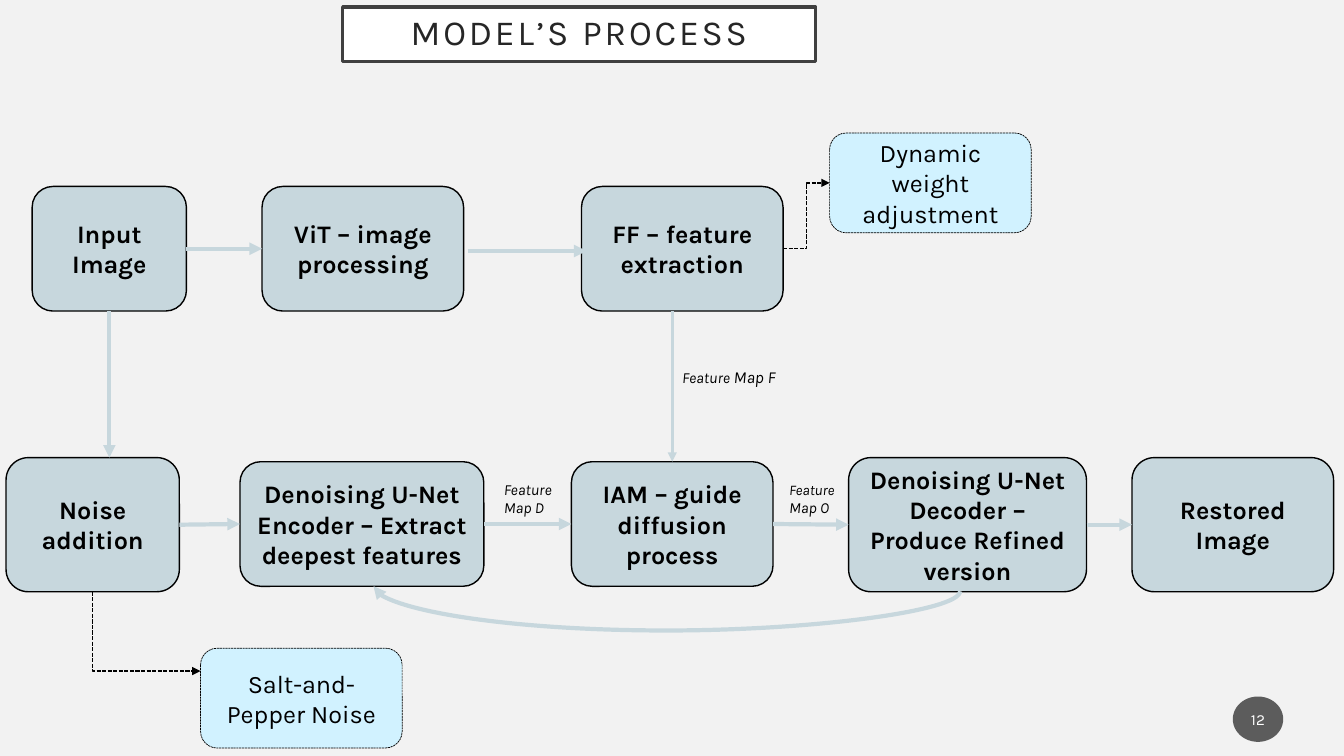
import pptx
import pptx.util
import pptx.dml.color
import pptx.enum.dml
import pptx.enum.shapes
import pptx.enum.text
import pptx.oxml
import pptx.oxml.ns

Pt = pptx.util.Pt
SHAPE = pptx.enum.shapes.MSO_SHAPE
CONNECTOR = pptx.enum.shapes.MSO_CONNECTOR
ALIGN = pptx.enum.text.PP_ALIGN
ANCHOR = pptx.enum.text.MSO_ANCHOR
FONT = "Karla"
STEEL, ICE, BLACK, WHITE = "C7D7DD", "D1F2FF", "000000", "FFFFFF"
TOP_Y, TOP_H = 133.2, 89
LOW_Y, LOW_H = 326.9, 95.8
CORE_Y, BOX_W = 329.8, 144
NOTE_H = 71.3


def rgb(value):
    return pptx.dml.color.RGBColor.from_string(value)


def add_xml(parent, tag, **attrs):
    element = pptx.oxml.parse_xml(f"<a:{tag} {pptx.oxml.ns.nsdecls('a')}/>")
    for name, value in attrs.items():
        element.set(name, value)
    parent.append(element)
    return element


def set_line(line, color, width, dashed=False):
    line.color.rgb = rgb(color)
    line.width = Pt(width)
    if dashed:
        line.dash_style = pptx.enum.dml.MSO_LINE.SQUARE_DOT


def add_run(p, text, size, color=BLACK, bold=False, italic=False):
    r = p.add_run()
    r.text = text
    r.font.name = FONT
    r.font.size = Pt(size)
    r.font.bold = bold
    r.font.italic = italic
    r.font.color.rgb = rgb(color)
    return r


def add_box(s, kind, at, fill, text, size, color=BLACK, bold=False, inset=(7.2, 3.6)):
    sp = s.shapes.add_shape(kind, *map(Pt, at))
    sp.shadow.inherit = False
    sp.fill.solid()
    sp.fill.fore_color.rgb = rgb(fill)
    tf = sp.text_frame
    tf.word_wrap = True
    tf.vertical_anchor = ANCHOR.MIDDLE
    tf.margin_left = tf.margin_right = Pt(inset[0])
    tf.margin_top = tf.margin_bottom = Pt(inset[1])
    p = tf.paragraphs[0]
    p.alignment = ALIGN.CENTER
    add_run(p, text, size, color, bold)
    return sp


def add_title(s, text):
    sp = add_box(s, SHAPE.RECTANGLE, (244.8, 5, 337.7, 38.9), WHITE, text, 25.2,
                 "262626", inset=(14.4, 14.4))
    set_line(sp.line, "404040", 2.5)
    p = sp.text_frame.paragraphs[0]
    p.line_spacing = 0.9
    p.runs[0].font._element.set("spc", "200")


def add_page_number(s, text):
    sp = add_box(s, SHAPE.OVAL, (880.6, 497.5, 36, 32.4), "1D1D1D", text, 11,
                 WHITE, inset=(1.4, 3.6))
    sp.line.fill.background()
    color = sp._element.spPr.find(".//" + pptx.oxml.ns.qn("a:srgbClr"))
    add_xml(color, "alpha", val="70000")


def add_step(s, text, x, y, w, h):
    sp = add_box(s, SHAPE.ROUNDED_RECTANGLE, (x, y, w, h), STEEL, text, 18, bold=True)
    set_line(sp.line, BLACK, 1)
    return sp


def add_note(s, text, x, y):
    sp = add_box(s, SHAPE.ROUNDED_RECTANGLE, (x, y, BOX_W, NOTE_H), ICE, text, 18)
    set_line(sp.line, BLACK, 0.5, True)
    return sp


def add_label(s, at, *runs):
    tf = s.shapes.add_textbox(*map(Pt, at)).text_frame
    tf.word_wrap = True
    for text, size in runs:
        add_run(tf.paragraphs[0], text, size, italic=True)


def add_arrow(s, start=(0, 0), end=(0, 0), source=None, target=None,
              kind=CONNECTOR.STRAIGHT, color=STEEL, width=3, dashed=False):
    sp = s.shapes.add_connector(kind, *map(Pt, start + end))
    if source:
        sp.begin_connect(*source)
    if target:
        sp.end_connect(*target)
    set_line(sp.line, color, width, dashed)
    add_xml(sp.line._get_or_add_ln(), "tailEnd", type="triangle")
    add_xml(sp._element.spPr, "effectLst")
    return sp


def turn(sp, at, angle, preset, adjust=None):
    sp.left, sp.top, sp.width, sp.height = map(Pt, at)
    sp.rotation = angle
    xfrm = sp._element.spPr.find(pptx.oxml.ns.qn("a:xfrm"))
    xfrm.attrib.pop("flipV", None)
    xfrm.set("flipH", "1")
    xfrm.set("rot", str(angle * 60000))
    geom = sp._element.spPr.find(pptx.oxml.ns.qn("a:prstGeom"))
    geom.set("prst", preset)
    if adjust is not None:
        guides = geom.find(pptx.oxml.ns.qn("a:avLst"))
        add_xml(guides, "gd", name="adj1", fmla=f"val {adjust}")


def main():
    prs = pptx.Presentation()
    prs.slide_width, prs.slide_height = Pt(960), Pt(540)
    s = prs.slides.add_slide(prs.slide_layouts[6])
    s.background.fill.solid()
    s.background.fill.fore_color.rgb = rgb("F2F2F2")

    add_title(s, "MODEL’S PROCESS")
    add_page_number(s, "12")

    source = add_step(s, "Input Image", 23, TOP_Y, 110.2, TOP_H)
    vit = add_step(s, "ViT – image processing", 187.2, TOP_Y, BOX_W, TOP_H)
    features = add_step(s, "FF – feature extraction", 415.4, TOP_Y, BOX_W, TOP_H)
    noise = add_step(s, "Noise addition", 4.3, LOW_Y, 123.8, LOW_H)
    encoder = add_step(s, "Denoising U-Net Encoder – Extract deepest features",
                       171.4, CORE_Y, 174.2, TOP_H)
    iam = add_step(s, "IAM – guide diffusion process", 408.2, CORE_Y, BOX_W, TOP_H)
    decoder = add_step(s, "Denoising U-Net Decoder – Produce Refined version",
                       606.2, LOW_Y, 169.9, LOW_H)
    restored = add_step(s, "Restored Image", 808.6, LOW_Y, BOX_W, LOW_H)
    weights = add_note(s, "Dynamic weight adjustment", 592.6, 95)
    add_note(s, "Salt-and-Pepper Noise", 143.3, 463)

    chain = [noise, encoder, iam, decoder, restored]
    for left, right in [(source, vit), *zip(chain, chain[1:])]:
        add_arrow(s, source=(left, 3), target=(right, 1))
    add_arrow(s, (334.1, 179.3), (419, 179.3))
    add_arrow(s, end=(78.1, LOW_Y), source=(source, 2))
    add_arrow(s, start=(480.2, TOP_Y + TOP_H), target=(iam, 0), width=2.25)
    feedback = add_arrow(s, kind=CONNECTOR.CURVE)
    turn(feedback, (474.5, 211, 3.6, 419), 90, "curvedConnector3", -779000)

    dashed = dict(kind=CONNECTOR.ELBOW, color=BLACK, width=1, dashed=True)
    add_arrow(s, source=(features, 3), target=(weights, 1), **dashed)
    salt_link = add_arrow(s, end=(143.3, 479.5), source=(noise, 2), **dashed)
    turn(salt_link, (76.3, 412.5, 56.8, 77), 270, "bentConnector2")

    add_label(s, (480.2, 258.5, 144, 21.6), ("Feature", 11), (" Map F", 12))
    add_label(s, (352.8, 339.1, 59, 33.8), ("Feature Map D", 11))
    add_label(s, (556.6, 339.1, 51.8, 33.8), ("Feature", 10.5), (" Map O", 11))

    prs.save("out.pptx")


if __name__ == "__main__":
    main()
